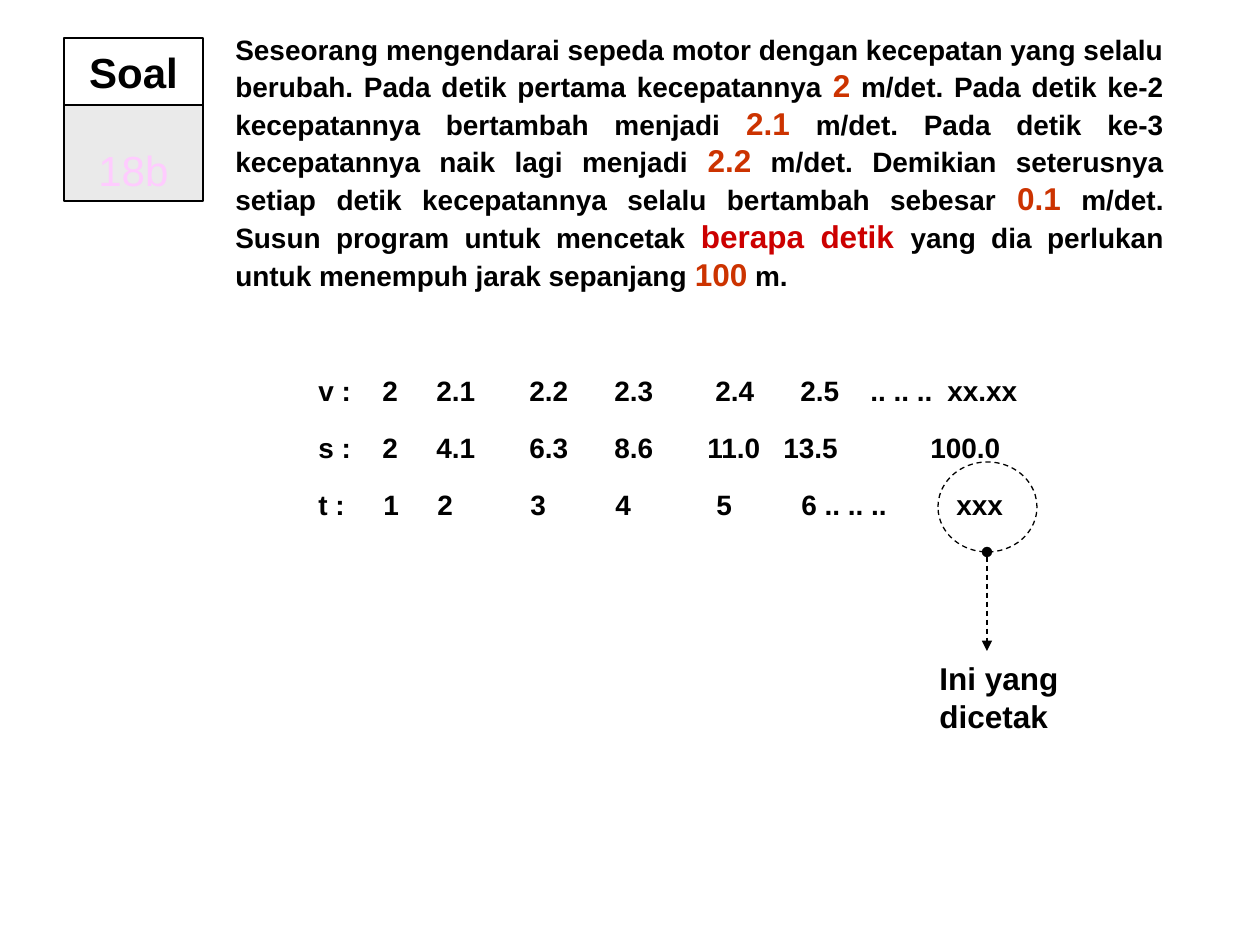
"""Build the slide for exercise 18b: distance covered at rising speed."""
from dataclasses import dataclass

from lxml import etree
from pptx import Presentation
from pptx.dml.color import RGBColor
from pptx.enum.dml import MSO_LINE
from pptx.enum.shapes import MSO_CONNECTOR, MSO_SHAPE
from pptx.enum.text import MSO_ANCHOR, MSO_AUTO_SIZE, PP_ALIGN
from pptx.oxml.ns import qn
from pptx.util import Emu, Pt

LEFT, CENTER, JUSTIFY = PP_ALIGN.LEFT, PP_ALIGN.CENTER, PP_ALIGN.JUSTIFY
TOP, MIDDLE, BOTTOM = MSO_ANCHOR.TOP, MSO_ANCHOR.MIDDLE, MSO_ANCHOR.BOTTOM
RECT, OVAL = MSO_SHAPE.RECTANGLE, MSO_SHAPE.OVAL
DASH, STRAIGHT = MSO_LINE.DASH, MSO_CONNECTOR.STRAIGHT
FIXED = MSO_AUTO_SIZE.NONE
SCALE = 914400 / 126
FONT = "Arial"
COLORS = {"ink": "000000", "number": "CC3300", "ask": "CC0000",
          "panel": "EAEAEA", "pink": "FFCCFF"}


@dataclass
class Box:
    x: int
    y: int
    w: int
    h: int


@dataclass
class Run:
    text: str
    size: int = 16
    color: str = "ink"


@dataclass
class Row:
    cells: list[str]
    stops: list[int]


QUESTION = [
    Run("Seseorang mengendarai sepeda motor dengan kecepatan yang selalu "
        "berubah. Pada detik pertama kecepatannya "),
    Run("2", 18, "number"),
    Run(" m/det. Pada detik ke-2 kecepatannya bertambah menjadi "),
    Run("2.1", 18, "number"),
    Run(" m/det. Pada detik ke-3 kecepatannya naik lagi menjadi "),
    Run("2.2", 18, "number"),
    Run(" m/det. Demikian seterusnya setiap detik kecepatannya selalu "
        "bertambah sebesar "),
    Run("0.1", 18, "number"),
    Run(" m/det. Susun program untuk mencetak "),
    Run("berapa detik ", 18, "ask"),
    Run("yang dia perlukan untuk menempuh jarak sepanjang "),
    Run("100", 18, "number"),
    Run(" m."),
]
ROWS = [
    Row(["v :", "2", "2.1", "2.2", "2.3", "2.4", "2.5", ".. .. ..", "xx.xx"],
        [64, 118, 211, 296, 397, 482, 552, 629]),
    Row(["s :", "2", "4.1", "6.3", "8.6", "11.0", "13.5", "100.0"],
        [64, 118, 211, 296, 389, 465, 612]),
    Row(["t :", "1", "2", "3", "4", "5", "6 .. .. ..", "xxx"],
        [65, 119, 212, 297, 398, 483, 638]),
]


def px(n: int) -> Emu:
    return Emu(round(n * SCALE))


def rgb(name: str) -> RGBColor:
    return RGBColor.from_string(COLORS[name])


def place(shape, box: Box) -> None:
    shape.left, shape.top = px(box.x), px(box.y)
    shape.width, shape.height = px(box.w), px(box.h)


def write(shape, paras: list[list[Run]], *, align=LEFT, anchor=TOP,
          bold: bool = True, space: float = 1.0, wrap: bool = True,
          stops: tuple = ()) -> None:
    frame = shape.text_frame
    frame.word_wrap, frame.auto_size = wrap, FIXED
    frame.vertical_anchor = anchor
    for i, runs in enumerate(paras):
        para = frame.add_paragraph() if i else frame.paragraphs[0]
        para.alignment, para.line_spacing = align, space
        if stops:
            tabs = etree.SubElement(para._p.get_or_add_pPr(), qn("a:tabLst"))
            for stop in stops[i]:
                etree.SubElement(tabs, qn("a:tab"), pos=str(px(stop)), algn="l")
        for item in runs:
            run = para.add_run()
            run.text = item.text
            font = run.font
            font.name, font.size, font.bold = FONT, Pt(item.size), bold
            font.color.rgb = rgb(item.color)


def stroke(line, dash=None) -> None:
    line.color.rgb, line.width = rgb("ink"), Pt(0.75)
    if dash:
        line.dash_style = dash


def add_text(slide, box: Box, paras: list[list[Run]], **form) -> None:
    shape = slide.shapes.add_textbox(0, 0, 0, 0)
    place(shape, box)
    write(shape, paras, **form)


def add_shape(slide, kind, box: Box, fill: str = "", dash=None):
    shape = slide.shapes.add_shape(kind, 0, 0, 0, 0)
    place(shape, box)
    shape.shadow.inherit = False
    if fill:
        shape.fill.solid()
        shape.fill.fore_color.rgb = rgb(fill)
    else:
        shape.fill.background()
    stroke(shape.line, dash)
    return shape


def add_arrow(slide, x: int, top: int, end: int) -> None:
    arrow = slide.shapes.add_connector(STRAIGHT, px(x), px(top), px(x), px(end))
    stroke(arrow.line, DASH)
    line = arrow.line._get_or_add_ln()
    etree.SubElement(line, qn("a:headEnd"), type="oval")
    etree.SubElement(line, qn("a:tailEnd"), type="triangle")
    etree.SubElement(arrow._element.spPr, qn("a:effectLst"))


def main() -> None:
    deck = Presentation()
    deck.slide_width, deck.slide_height = px(1260), px(945)
    slide = deck.slides.add_slide(deck.slide_layouts[5])

    title = slide.shapes.title
    place(title, Box(64, 38, 139, 67))
    stroke(title.line)
    write(title, [[Run("Soal", 24)]], align=CENTER, anchor=MIDDLE, wrap=False)

    panel = add_shape(slide, RECT, Box(64, 105, 139, 96), "panel")
    write(panel, [[Run("18b", 24, "pink")]], align=CENTER, anchor=BOTTOM,
          bold=False)

    add_text(slide, Box(223, 26, 953, 273), [QUESTION], align=JUSTIFY)
    add_text(slide, Box(306, 344, 725, 184),
             [[Run("\t".join(row.cells))] for row in ROWS],
             space=1.7, stops=tuple(row.stops for row in ROWS))

    add_shape(slide, OVAL, Box(938, 462, 99, 90), dash=DASH)
    add_arrow(slide, 987, 552, 651)
    add_text(slide, Box(927, 653, 152, 88),
             [[Run("Ini yang", 18)], [Run("dicetak", 18)]], wrap=False)
    deck.save("out.pptx")


if __name__ == "__main__":
    main()
